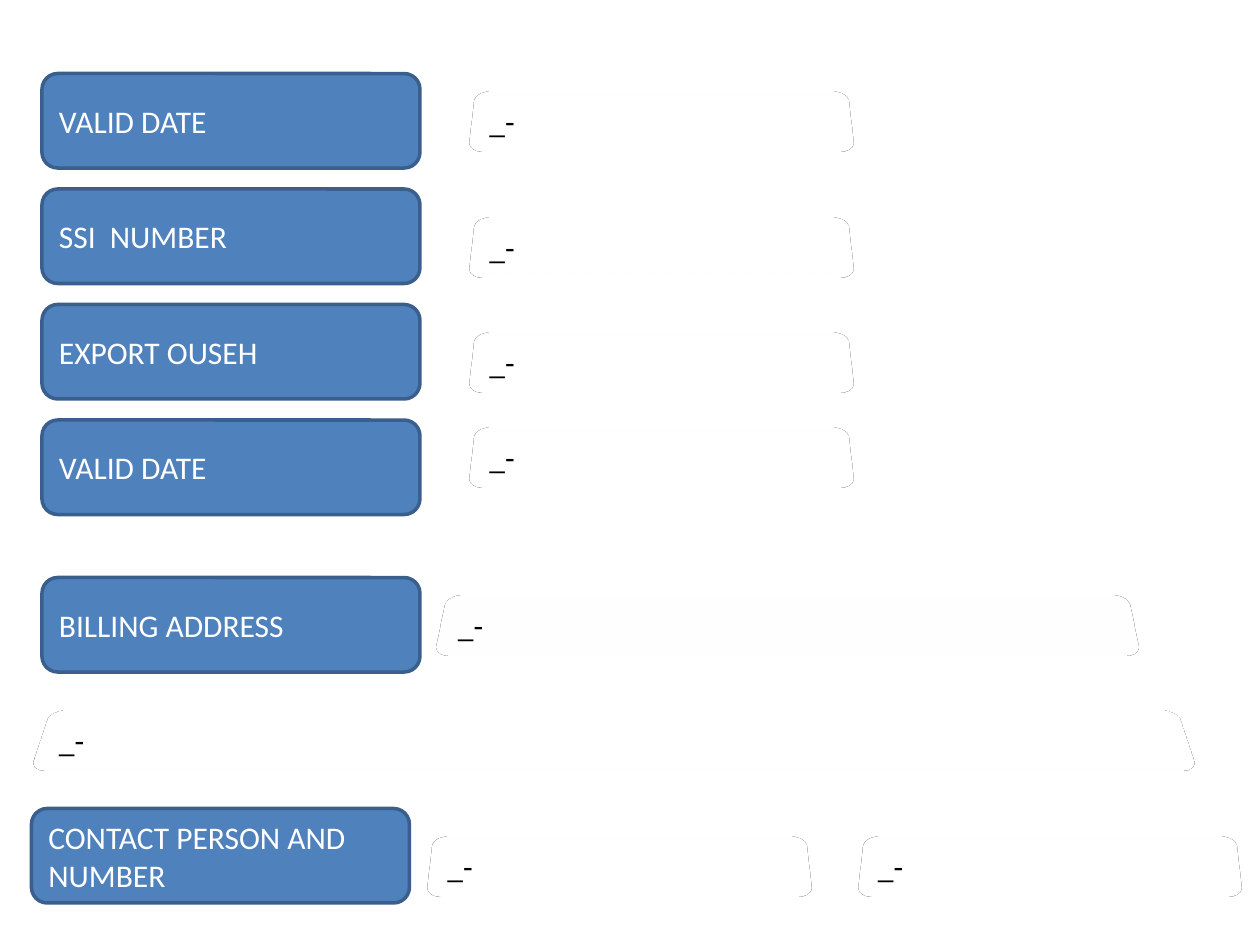
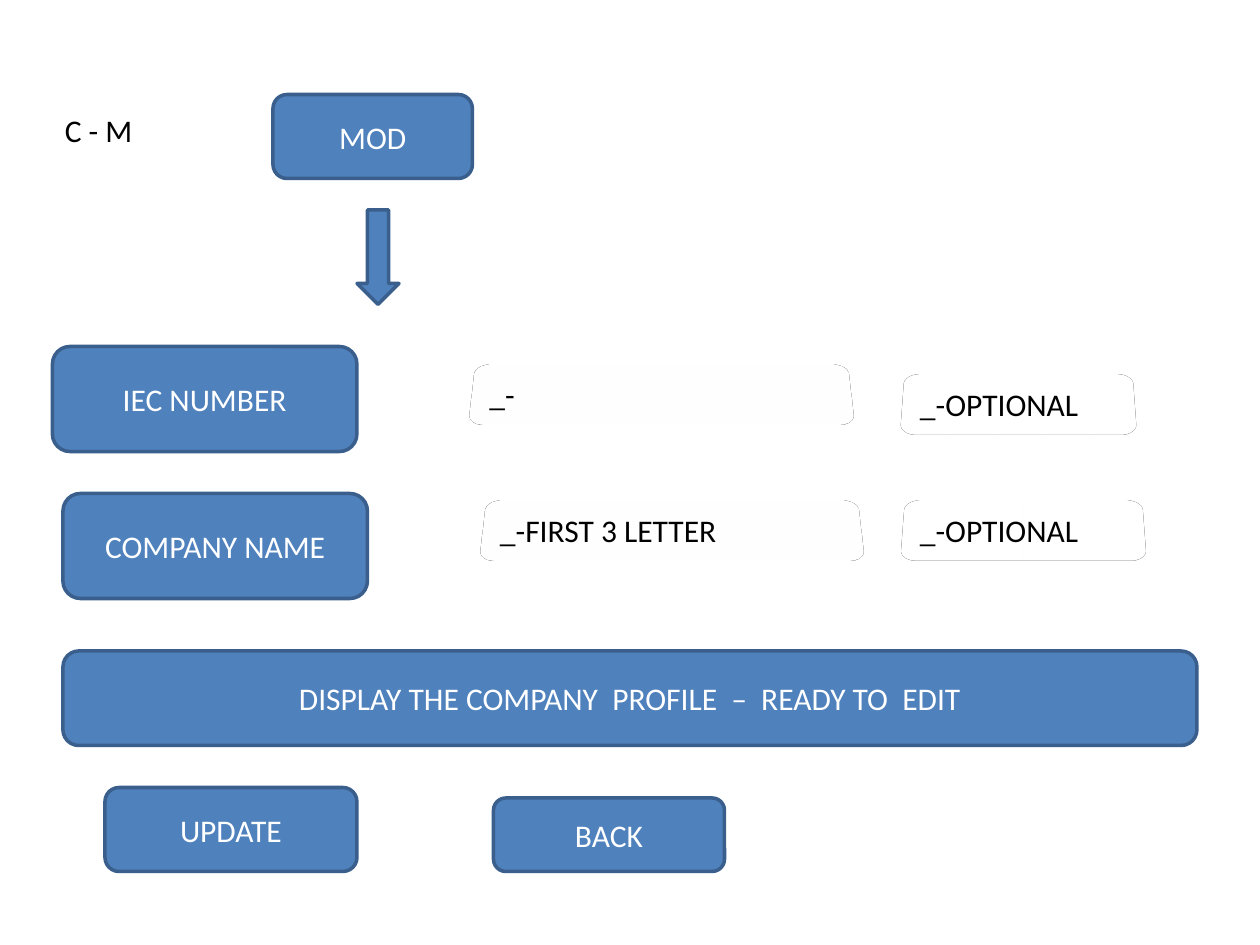
from dataclasses import dataclass

from lxml import etree
from pptx import Presentation
from pptx.dml.color import RGBColor
from pptx.enum import shapes, text
from pptx.oxml import ns
from pptx.shapes.autoshape import Shape
from pptx.slide import Slide
from pptx.util import Pt

BLUE = RGBColor(0x4F, 0x81, 0xBD)
BLUE_EDGE = RGBColor(0x3A, 0x5F, 0x8C)
NAVY = RGBColor(0x1F, 0x49, 0x7D)
WHITE = RGBColor(0xFF, 0xFF, 0xFF)
BLACK = RGBColor(0x00, 0x00, 0x00)

FONT = "Calibri"
FONT_SIZE = 18
LINE_WIDTH = 2
ROW_HEIGHT = 54
ROW_WIDTH = 216
LABEL_LEFT = 24
LABEL_TOP = 42
LABEL_STEP = 66
FIELD_LEFT = 270

ROUNDED = shapes.MSO_SHAPE.ROUNDED_RECTANGLE
LEFT = text.PP_ALIGN.LEFT
CENTER = text.PP_ALIGN.CENTER


@dataclass(frozen=True)
class Box:
    caption: str
    left: float
    top: float
    width: float = ROW_WIDTH
    height: float = ROW_HEIGHT


@dataclass(frozen=True)
class Style:
    fill: RGBColor
    line: RGBColor
    font: RGBColor
    alignment: text.PP_ALIGN = LEFT
    tilted: bool = False


LABEL = Style(BLUE, BLUE_EDGE, WHITE)
BUTTON = Style(BLUE, BLUE_EDGE, WHITE, CENTER)
FIELD = Style(WHITE, NAVY, BLACK, tilted=True)

REGISTRATION_LABELS = [
    Box(caption, LABEL_LEFT, LABEL_TOP + row * LABEL_STEP)
    for row, caption in enumerate(
        ["VALID DATE", "SSI  NUMBER", "EXPORT OUSEH", "VALID DATE"]
    )
]
REGISTRATION_FIELDS = [Box("_-", FIELD_LEFT, top) for top in (42, 114, 180, 234)]
CONTACT_LABELS = [
    Box("BILLING ADDRESS", LABEL_LEFT, 330),
    Box("CONTACT PERSON AND NUMBER", 18, 462),
]
CONTACT_FIELDS = [
    Box("_-", 252, 330, 396),
    Box("_-", LABEL_LEFT, 396, 654),
    Box("_-", 246, 468),
    Box("_-", 492, 468),
]
EDIT_BUTTONS = [
    Box("MOD", 156, 54, 114, 48),
    Box("IEC NUMBER", 30, 198, 174, 60),
    Box("COMPANY NAME", 36, 282, 174, 60),
    Box("DISPLAY THE COMPANY  PROFILE  –  READY TO  EDIT", 36, 372, 648),
    Box("UPDATE", 60, 450, 144, 48),
    Box("BACK", 282, 456, 132, 42),
]
EDIT_FIELDS = [
    Box("_-", FIELD_LEFT, 198),
    Box("_-FIRST 3 LETTER", 276, 276),
    Box("_-OPTIONAL", 516, 204, 132),
    Box("_-OPTIONAL", 516, 276, 138),
]
MOD_ARROW = Box("", 204, 120, 24)
MODE_TITLE = Box("C - M", 30, 60, 138, 29)


def frame(box: Box) -> tuple[Pt, Pt, Pt, Pt]:
    return Pt(box.left), Pt(box.top), Pt(box.width), Pt(box.height)


def write(shape: Shape, caption: str, color: RGBColor, alignment: text.PP_ALIGN) -> None:
    shape.text_frame.text = caption
    shape.text_frame.word_wrap = True
    paragraph = shape.text_frame.paragraphs[0]
    paragraph.alignment = alignment
    for run in paragraph.runs:
        run.font.name = FONT
        run.font.size = Pt(FONT_SIZE)
        run.font.color.rgb = color


def tilt(shape: Shape) -> None:
    properties = shape.element.spPr
    scene = etree.SubElement(properties, ns.qn("a:scene3d"))
    etree.SubElement(scene, ns.qn("a:camera"), prst="perspectiveRelaxed")
    etree.SubElement(scene, ns.qn("a:lightRig"), rig="threePt", dir="t")


def draw_box(
    slide: Slide, box: Box, style: Style, kind: shapes.MSO_SHAPE = ROUNDED
) -> None:
    shape = slide.shapes.add_shape(kind, *frame(box))
    shape.shadow.inherit = False
    shape.fill.solid()
    shape.fill.fore_color.rgb = style.fill
    shape.line.color.rgb = style.line
    shape.line.width = Pt(LINE_WIDTH)
    if box.caption:
        shape.text_frame.vertical_anchor = text.MSO_ANCHOR.MIDDLE
        write(shape, box.caption, style.font, style.alignment)
    if style.tilted:
        tilt(shape)


def draw_boxes(slide: Slide, boxes: list[Box], style: Style) -> None:
    for box in boxes:
        draw_box(slide, box, style)


def draw_title(slide: Slide, box: Box) -> None:
    shape = slide.shapes.add_textbox(*frame(box))
    write(shape, box.caption, BLACK, LEFT)


def build_registration(slide: Slide) -> None:
    draw_boxes(slide, REGISTRATION_LABELS + CONTACT_LABELS, LABEL)
    draw_boxes(slide, REGISTRATION_FIELDS + CONTACT_FIELDS, FIELD)


def build_edit(slide: Slide) -> None:
    draw_title(slide, MODE_TITLE)
    draw_boxes(slide, EDIT_BUTTONS, BUTTON)
    draw_box(slide, MOD_ARROW, BUTTON, shapes.MSO_SHAPE.DOWN_ARROW)
    draw_boxes(slide, EDIT_FIELDS, FIELD)


def main() -> None:
    presentation = Presentation()
    presentation.slide_width = Pt(720)
    presentation.slide_height = Pt(540)
    blank = presentation.slide_layouts[6]
    for build in (build_registration, build_edit):
        build(presentation.slides.add_slide(blank))
    presentation.save("out.pptx")


if __name__ == "__main__":
    main()
